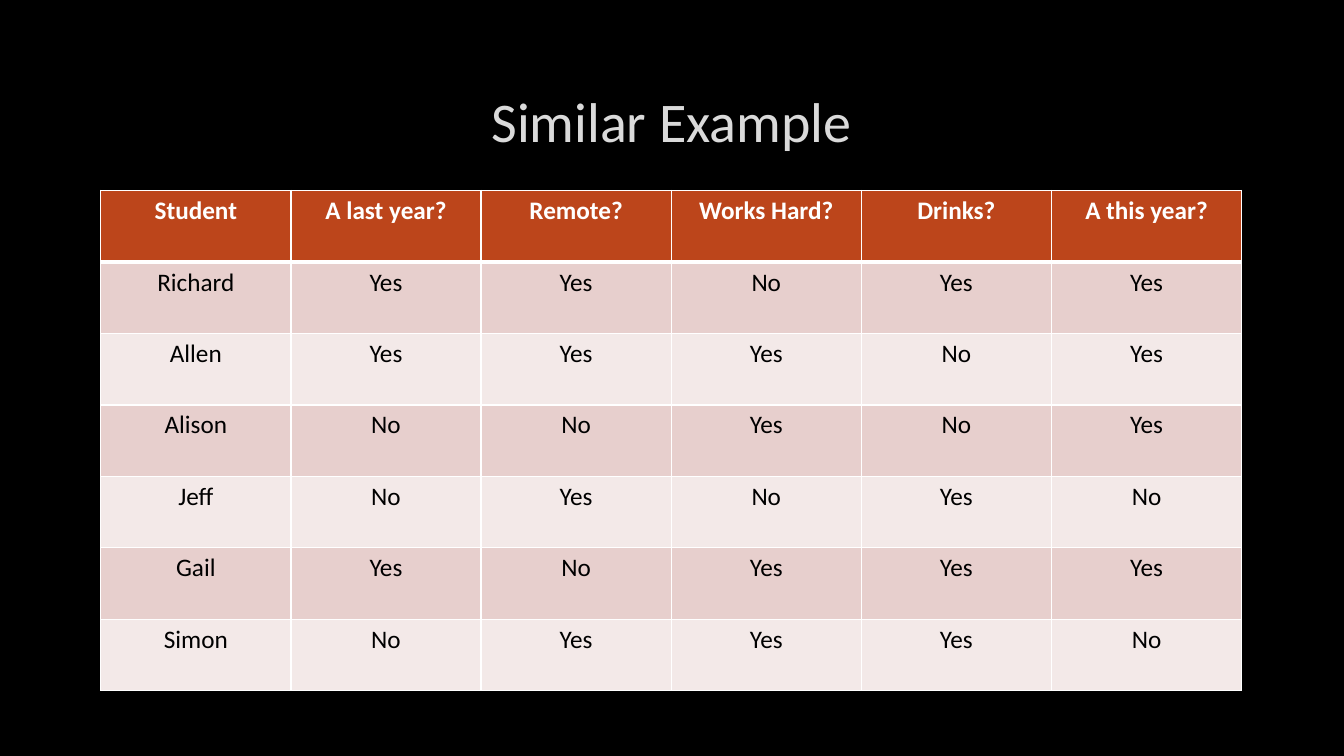
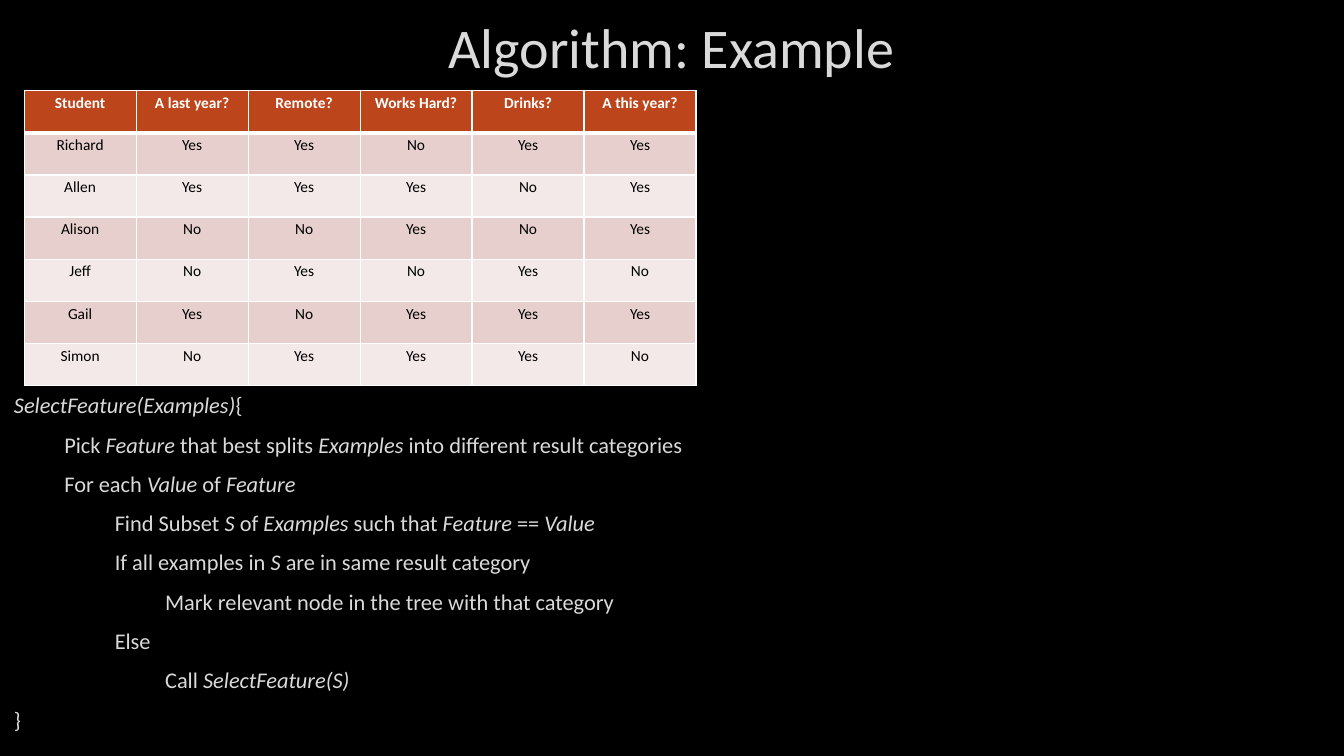
from dataclasses import dataclass

from lxml import etree
from pptx import Presentation
from pptx.dml.color import RGBColor
from pptx.enum.text import MSO_ANCHOR, MSO_AUTO_SIZE, PP_ALIGN
from pptx.oxml.ns import qn
from pptx.presentation import Presentation as Deck
from pptx.slide import Slide
from pptx.table import _Cell
from pptx.text.text import _Paragraph
from pptx.util import Inches, Length, Pt

CENTER, LEFT = PP_ALIGN.CENTER, PP_ALIGN.LEFT
TOP, MIDDLE = MSO_ANCHOR.TOP, MSO_ANCHOR.MIDDLE
NO_AUTOFIT = MSO_AUTO_SIZE.NONE
SLIDE_WIDTH, SLIDE_HEIGHT = Inches(13.33), Inches(7.5)
TITLE_ONLY = 5


@dataclass(frozen=True)
class Theme:
    """Colours, font and type sizes of the deck."""

    font: str = "Calibri"
    backdrop: str = "000000"
    light_text: str = "DADADA"
    header_fill: str = "BC451B"
    header_text: str = "FFFFFF"
    cell_text: str = "000000"
    band_fills: tuple[str, str] = ("E7CFCD", "F3E9E8")
    border: str = "FFFFFF"
    thin_border: float = 1
    thick_border: float = 3
    title_size: float = 40
    code_size: float = 16


@dataclass(frozen=True)
class Area:
    """A rectangle in percent of the slide's width and height."""

    left: float
    top: float
    width: float
    height: float

    def box(self) -> tuple[Length, Length, Length, Length]:
        """Return left, top, width and height as lengths."""
        return (
            Length(round(SLIDE_WIDTH * self.left / 100)),
            Length(round(SLIDE_HEIGHT * self.top / 100)),
            Length(round(SLIDE_WIDTH * self.width / 100)),
            Length(round(SLIDE_HEIGHT * self.height / 100)),
        )


@dataclass(frozen=True)
class TableLook:
    """Place, type size and cell margins of a student table."""

    area: Area
    size: float
    side_margin: float
    end_margin: float


@dataclass(frozen=True)
class CodeLine:
    """A line of pseudocode whose starred parts are italic."""

    level: int
    wording: str


THEME = Theme()
STUDENTS = (
    ("Student", "A last year?", "Remote?", "Works Hard?", "Drinks?", "A this year?"),
    ("Richard", "Yes", "Yes", "No", "Yes", "Yes"),
    ("Allen", "Yes", "Yes", "Yes", "No", "Yes"),
    ("Alison", "No", "No", "Yes", "No", "Yes"),
    ("Jeff", "No", "Yes", "No", "Yes", "No"),
    ("Gail", "Yes", "No", "Yes", "Yes", "Yes"),
    ("Simon", "No", "Yes", "Yes", "Yes", "No"),
)
SELECT_FEATURE = (
    CodeLine(0, "*SelectFeature(Examples)*{"),
    CodeLine(1, "Pick *Feature* that best splits *Examples* into different result categories"),
    CodeLine(1, "For each *Value* of *Feature*"),
    CodeLine(2, "Find Subset *S* of *Examples* such that *Feature* == *Value*"),
    CodeLine(2, "If all examples in *S* are in same result category"),
    CodeLine(3, "Mark relevant node in the tree with that category"),
    CodeLine(2, "Else"),
    CodeLine(3, "Call *SelectFeature(S)*"),
    CodeLine(0, "}"),
)
LARGE_TABLE = TableLook(Area(7.5, 25.2, 84.9, 66.2), 18, 0.1, 0.05)
SMALL_TABLE = TableLook(Area(1.8, 12, 50, 39), 11, 0.06, 0.03)


def add_run(paragraph: _Paragraph, wording: str, size: float, color: str,
            bold: bool = False, italic: bool = False) -> None:
    """Append one formatted run to a paragraph."""
    run = paragraph.add_run()
    run.text = wording
    run.font.name = THEME.font
    run.font.size = Pt(size)
    run.font.bold = bold
    run.font.italic = italic
    run.font.color.rgb = RGBColor.from_string(color)


def add_titled_slide(deck: Deck, title: str, area: Area) -> Slide:
    """Add a slide with its title placed in the given area."""
    slide = deck.slides.add_slide(deck.slide_layouts[TITLE_ONLY])
    heading = slide.shapes.title
    heading.left, heading.top, heading.width, heading.height = area.box()
    frame = heading.text_frame
    frame.auto_size = NO_AUTOFIT
    frame.vertical_anchor = MIDDLE
    frame.paragraphs[0].alignment = CENTER
    add_run(frame.paragraphs[0], title, THEME.title_size, THEME.light_text)
    return slide


def set_borders(cell: _Cell, top: float, bottom: float) -> None:
    """Draw the four borders of a cell, with its top and bottom widths in points."""
    properties = cell._tc.get_or_add_tcPr()
    sides = (("L", THEME.thin_border), ("R", THEME.thin_border), ("T", top), ("B", bottom))
    for side, width in sides:
        line = etree.SubElement(properties, qn(f"a:ln{side}"), w=str(Pt(width)))
        fill = etree.SubElement(line, qn("a:solidFill"))
        etree.SubElement(fill, qn("a:srgbClr"), val=THEME.border)


def format_cell(cell: _Cell, row: int, wording: str, look: TableLook) -> None:
    """Fill in one cell of the student table."""
    is_header = row == 0
    set_borders(
        cell,
        THEME.thick_border if row == 1 else THEME.thin_border,
        THEME.thick_border if is_header else THEME.thin_border,
    )
    fill = THEME.header_fill if is_header else THEME.band_fills[(row - 1) % 2]
    cell.fill.solid()
    cell.fill.fore_color.rgb = RGBColor.from_string(fill)
    cell.margin_left = cell.margin_right = Inches(look.side_margin)
    cell.margin_top = cell.margin_bottom = Inches(look.end_margin)
    cell.vertical_anchor = TOP
    paragraph = cell.text_frame.paragraphs[0]
    paragraph.alignment = CENTER
    color = THEME.header_text if is_header else THEME.cell_text
    add_run(paragraph, wording, look.size, color, bold=is_header)


def add_student_table(slide: Slide, look: TableLook) -> None:
    """Add the table of students with equal rows and columns."""
    left, top, width, height = look.area.box()
    row_count, column_count = len(STUDENTS), len(STUDENTS[0])
    students = slide.shapes.add_table(row_count, column_count, left, top, width, height).table
    students.horz_banding = False
    for column in students.columns:
        column.width = Length(width // column_count)
    for row in students.rows:
        row.height = Length(height // row_count)
    for row_index, answers in enumerate(STUDENTS):
        for column_index, answer in enumerate(answers):
            format_cell(students.cell(row_index, column_index), row_index, answer, look)


def add_pseudocode(slide: Slide, area: Area, lines: tuple[CodeLine, ...]) -> None:
    """Add indented pseudocode, one paragraph a line."""
    frame = slide.shapes.add_textbox(*area.box()).text_frame
    frame.word_wrap = True
    frame.vertical_anchor = TOP
    for index, line in enumerate(lines):
        paragraph = frame.add_paragraph() if index else frame.paragraphs[0]
        paragraph.alignment = LEFT
        paragraph.space_before = Pt(2.9) if index else Pt(0)
        paragraph.space_after = Pt(6)
        indent = Inches(0.04 + 0.5 * line.level)
        paragraph._p.get_or_add_pPr().set("marL", str(indent))
        for position, part in enumerate(line.wording.split("*")):
            if part:
                add_run(paragraph, part, THEME.code_size, THEME.light_text,
                        italic=position % 2 == 1)


def main() -> None:
    """Build and save the two slides."""
    deck = Presentation()
    deck.slide_width, deck.slide_height = SLIDE_WIDTH, SLIDE_HEIGHT
    backdrop = deck.slide_master.background.fill
    backdrop.solid()
    backdrop.fore_color.rgb = RGBColor.from_string(THEME.backdrop)

    similar = add_titled_slide(deck, "Similar Example", Area(7.5, 8.9, 84.9, 14.1))
    add_student_table(similar, LARGE_TABLE)

    algorithm = add_titled_slide(deck, "Algorithm: Example", Area(7.5, 0.9, 84.9, 10.3))
    add_pseudocode(algorithm, Area(0, 51.1, 53.6, 48.9), SELECT_FEATURE)
    add_student_table(algorithm, SMALL_TABLE)

    deck.save("out.pptx")


if __name__ == "__main__":
    main()
